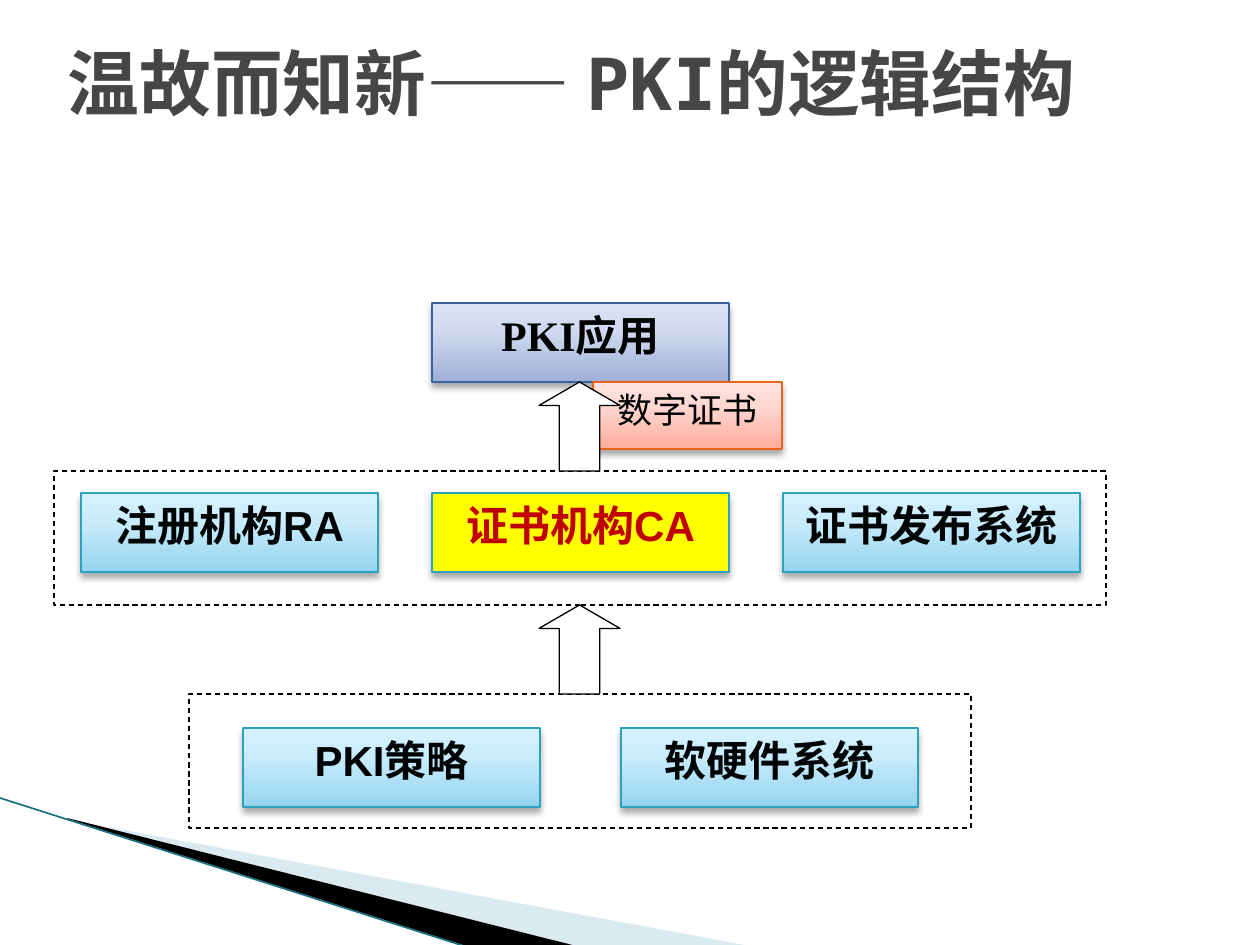
from lxml.etree import SubElement
from pptx import Presentation
from pptx.dml.color import RGBColor
from pptx.enum.dml import MSO_LINE
from pptx.enum.shapes import MSO_CONNECTOR, MSO_SHAPE
from pptx.enum.text import MSO_ANCHOR, MSO_AUTO_SIZE, PP_ALIGN
from pptx.oxml.ns import qn
from pptx.util import Pt

PX = 914400 / 126  # EMU in one px
HUES = {
    "white": "FFFFFF", "black": "000000", "title": "464646", "ink": "000404",
    "red": "C00000", "yellow": "FFFF00", "teal": "2DA2BF", "navy": "39639D",
    "orange": "EB641B", "pale": "A0CBDC", "edge": "1B7080",
}
# Gradient stops from the bottom edge up
FADES = {
    "blue": ("9FAFD6", "D0D9EF", "DCE3F6"),
    "aqua": ("96D4EE", "C9ECFC", "D7F2FF"),
    "rose": ("FFAC9C", "FFD8D2", "FFE4DF"),
}
BOX_W, BOX_H = 297, 79


def emu(*vals):
    return [round(v * PX) for v in vals]


def rgb(name):
    return RGBColor.from_string(HUES[name])


def tint(parent, value, alpha=None):
    """Add a colour element, with alpha in percent."""
    clr = SubElement(parent, qn("a:srgbClr"), val=value)
    if alpha:
        SubElement(clr, qn("a:alpha"), val=str(alpha * 1000))


def paint(shape, name):
    """Fill with a fade or a plain colour."""
    if name not in FADES:
        shape.fill.solid()
        shape.fill.fore_color.rgb = rgb(name)
        return
    shape.fill.gradient()
    grad = shape._element.spPr.find(qn("a:gradFill"))
    for kid in list(grad):
        grad.remove(kid)
    stops = SubElement(grad, qn("a:gsLst"))
    for pos, value in zip((0, 65, 100), FADES[name]):
        tint(SubElement(stops, qn("a:gs"), pos=str(pos * 1000)), value)
    SubElement(grad, qn("a:lin"), ang=str(270 * 60000), scaled="0")


def style(run, size, font, color, bold):
    run.font.size = Pt(size)
    run.font.name = font
    run.font.bold = bold
    run.font.color.rgb = rgb(color)


def add_block(slide, kind, x, y, w, h, fill="white", line="black"):
    shape = slide.shapes.add_shape(kind, *emu(x, y, w, h))
    shape.shadow.inherit = False
    paint(shape, fill)
    shape.line.color.rgb = rgb(line)
    shape.line.width = Pt(0.75)
    return shape


def add_frame(slide, x, y, w, h):
    frame = add_block(slide, MSO_SHAPE.RECTANGLE, x, y, w, h)
    frame.line.dash_style = MSO_LINE.DASH


def add_arrow(slide, x, y):
    arrow = add_block(slide, MSO_SHAPE.UP_ARROW, x, y, 81, 89)
    arrow.adjustments[0] = 0.5
    arrow.adjustments[1] = 0.29


def add_box(slide, text, x, y, w=BOX_W, h=BOX_H, fill="aqua", line="teal",
            size=24, font="Arial", color="ink", bold=True):
    box = add_block(slide, MSO_SHAPE.RECTANGLE, x, y, w, h, fill, line)
    effect = box._element.spPr.find(qn("a:effectLst"))
    cast = SubElement(effect, qn("a:outerShdw"), blurRad=str(Pt(4)),
                      dist=str(Pt(3)), dir=str(90 * 60000), rotWithShape="0")
    tint(cast, HUES["black"], 35)
    frame = box.text_frame
    frame.vertical_anchor = MSO_ANCHOR.TOP
    para = frame.paragraphs[0]
    para.alignment = PP_ALIGN.CENTER
    run = para.add_run()
    run.text = text
    style(run, size, font, color, bold)


def add_wedge(slide, points, fill, alpha=None):
    start, *rest = points
    build = slide.shapes.build_freeform(*start, scale=PX)
    build.add_line_segments(rest, close=True)
    wedge = build.convert_to_shape()
    wedge.shadow.inherit = False
    paint(wedge, fill)
    wedge.line.fill.background()
    if alpha:
        clr = wedge._element.spPr.find(qn("a:solidFill"))[0]
        SubElement(clr, qn("a:alpha"), val=str(alpha * 1000))


def add_line(slide, x1, y1, x2, y2):
    line = slide.shapes.add_connector(MSO_CONNECTOR.STRAIGHT,
                                      *emu(x1, y1, x2, y2))
    line.line.color.rgb = rgb("edge")
    line.line.width = Pt(0.95)
    SubElement(line._element.spPr, qn("a:effectLst"))


def set_title(slide, text):
    title = slide.shapes.title
    title.left, title.top, title.width, title.height = emu(55, 3, 1134, 157)
    frame = title.text_frame
    frame.auto_size = MSO_AUTO_SIZE.NONE
    frame.vertical_anchor = MSO_ANCHOR.MIDDLE
    para = frame.paragraphs[0]
    para.alignment = PP_ALIGN.LEFT
    run = para.add_run()
    run.text = text
    style(run, 41, "DejaVu Sans Mono", "title", True)


def main():
    deck = Presentation()
    deck.slide_width, deck.slide_height = emu(1260, 945)
    slide = deck.slides.add_slide(deck.slide_layouts[5])

    # Corner decoration
    add_wedge(slide, [(69, 820), (750, 946), (575, 946), (69, 819)], "pale", 40)
    add_wedge(slide, [(67, 818), (576, 946), (469, 947), (68, 819)], "black")
    add_line(slide, 0, 798, 467, 947)

    set_title(slide, "温故而知新—— PKI的逻辑结构")

    # Dashed layers
    add_frame(slide, 189, 694, 782, 134)
    add_frame(slide, 54, 471, 1052, 134)

    # Application layer
    add_box(slide, "PKI应用", 432, 303, fill="blue", line="navy",
            font="Times New Roman")

    # Authority layer
    looks = [("注册机构RA", {}),
             ("证书机构CA", {"fill": "yellow", "color": "red"}),
             ("证书发布系统", {})]
    for i, (text, look) in enumerate(looks):
        add_box(slide, text, 81 + i * 351, 493, **look)

    # Base layer
    for i, text in enumerate(["PKI策略", "软硬件系统"]):
        add_box(slide, text, 243 + i * 378, 728)

    # Certificate passed up, and the arrows between layers
    add_box(slide, "数字证书", 593, 382, 189, 67, fill="rose", line="orange",
            size=20, font="Times New Roman", bold=False)
    for y in (382, 605):
        add_arrow(slide, 539, y)

    deck.save("out.pptx")


if __name__ == "__main__":
    main()
